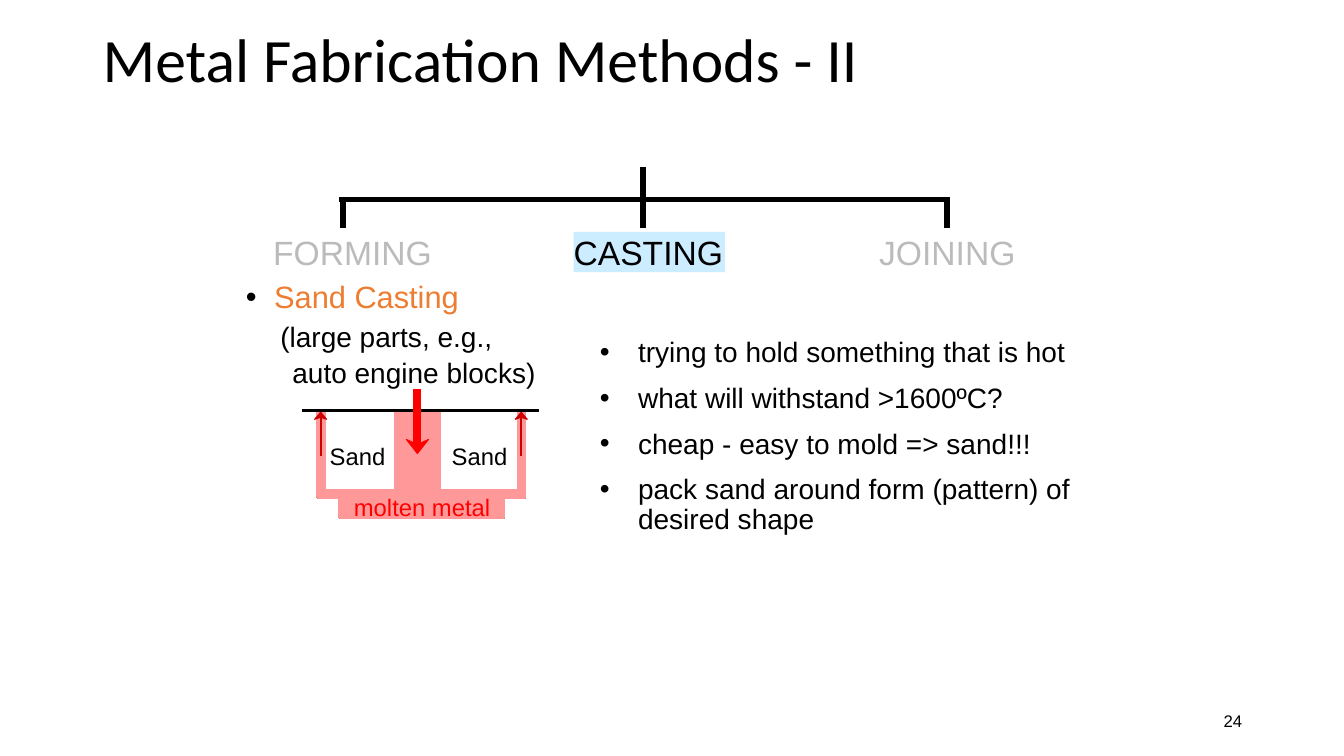
from lxml import etree
from pptx import Presentation
from pptx.dml.color import RGBColor
from pptx.enum.shapes import MSO_CONNECTOR, MSO_SHAPE
from pptx.enum.text import MSO_ANCHOR, MSO_AUTO_SIZE, PP_ALIGN
from pptx.oxml.ns import qn
from pptx.util import Inches, Pt

COLORS = {
    "black": "000000", "white": "FFFFFF", "grey": "BBBBBB", "orange": "ED7D31",
    "sky": "CCECFF", "melt": "FF9999", "red": "FF0000", "crimson": "CC0000",
}


def rgb(name):
    return RGBColor.from_string(COLORS[name])


class SlideBuilder:
    def __init__(self, slide, font="Arial"):
        self.slide = slide
        self.font = font
        self.layer = slide.shapes

    def start_group(self):
        self.layer = self.slide.shapes.add_group_shape().shapes

    def end_group(self):
        self.layer = self.slide.shapes

    def frame(self, box, fill=None, inset=True, anchor=MSO_ANCHOR.TOP):
        place = [Inches(value) for value in box]
        if fill:
            holder = self.layer.add_shape(MSO_SHAPE.RECTANGLE, *place)
            self.paint(holder, fill)
        else:
            holder = self.layer.add_textbox(*place)
        body = holder.text_frame
        body.word_wrap = True
        body.vertical_anchor = anchor
        if not inset:
            body.margin_left = body.margin_right = 0
            body.margin_top = body.margin_bottom = 0
        return body

    def paragraph(self, body, text, size, color="black", font=None, align=PP_ALIGN.LEFT,
                  margin=0, bullet=False, before=0, spacing=None):
        first = not body.paragraphs[0].runs
        line = body.paragraphs[0] if first else body.add_paragraph()
        line.alignment = align
        if spacing:
            line.line_spacing = spacing
        if before and not first:
            line.space_before = Pt(before)
        props = line._p.get_or_add_pPr()
        if margin:
            props.set("marL", str(Inches(margin)))
            props.set("indent", str(-Inches(margin) if bullet else 0))
        if bullet:
            bullet_color = etree.SubElement(props, qn("a:buClr"))
            etree.SubElement(bullet_color, qn("a:srgbClr"), val=COLORS["black"])
            etree.SubElement(props, qn("a:buFont"), typeface=self.font)
            etree.SubElement(props, qn("a:buChar"), char="•")
        run = line.add_run()
        run.text = text
        run.font.size = Pt(size)
        run.font.name = font or self.font
        run.font.color.rgb = rgb(color)

    def label(self, box, text, size, color="black", fill=None):
        body = self.frame(box, fill, inset=False)
        body.word_wrap = False
        body.auto_size = MSO_AUTO_SIZE.SHAPE_TO_FIT_TEXT
        self.paragraph(body, text, size, color)

    def paint(self, shape, fill=None, line=None, width=0.75):
        shape.shadow.inherit = False
        if fill:
            shape.fill.solid()
            shape.fill.fore_color.rgb = rgb(fill)
        else:
            shape.fill.background()
        if line:
            shape.line.color.rgb = rgb(line)
            shape.line.width = Pt(width)
        else:
            shape.line.fill.background()

    def outline(self, points, closed=False, shift=0, **style):
        corners = [(Inches(x + shift), Inches(y + shift)) for x, y in points]
        builder = self.layer.build_freeform(*corners[0], scale=1.0)
        builder.add_line_segments(corners[1:], close=closed)
        self.paint(builder.convert_to_shape(), **style)

    def line(self, start, end, color, width):
        ends = [Inches(value) for value in (*start, *end)]
        rule = self.layer.add_connector(MSO_CONNECTOR.STRAIGHT, *ends)
        rule.line.color.rgb = rgb(color)
        rule.line.width = Pt(width)
        etree.SubElement(rule._element.spPr, qn("a:effectLst"))

    def arrow(self, x, tail, notch, tip, wing, half, color, width):
        head = [(x, tip), (x + half, wing), (x, notch), (x - half, wing)]
        self.outline(head, closed=True, fill=color, line=color)
        self.line((x, tail), (x, notch), color, width)


def add_text(page):
    number = page.frame((9.42, 6.95, 3, 0.4), anchor=MSO_ANCHOR.MIDDLE)
    page.paragraph(number, "24", 12, align=PP_ALIGN.RIGHT)

    sand_casting = page.frame((2.44, 2.76, 3, 1.08), inset=False)
    page.paragraph(sand_casting, "Sand Casting", 22, "orange", margin=0.28, bullet=True)
    page.paragraph(sand_casting, "(large parts, e.g.,", 20, margin=0.34, before=3)
    page.paragraph(sand_casting, "auto engine blocks)", 20, margin=0.46, before=2)

    title = page.frame((0.92, -0.1, 11.5, 1.45), anchor=MSO_ANCHOR.MIDDLE)
    page.paragraph(title, "Metal Fabrication Methods - II", 44, font="Calibri", spacing=0.9)

    reasons = page.frame((5.85, 3.31, 5.39, 2.73))
    for reason in (
        "trying to hold something that is hot",
        "what will withstand >1600ºC?",
        "cheap - easy to mold => sand!!!",
        "pack sand around form (pattern) of desired shape",
    ):
        page.paragraph(reasons, reason, 20, margin=0.38, bullet=True, before=11, spacing=0.9)


def add_mold(page):
    top, floor, step, base = 4.07, 4.86, 4.93, 5.13
    left, right = 3.36, 4.99
    vent_left, vent_right = (3.14, 3.21), (5.2, 5.14)
    sprue_left, sprue_right = 3.92, 4.35

    cavity = [(sprue_left, top), (sprue_left, floor), (left, floor), (left, base),
              (right, base), (right, floor), (sprue_right, floor), (sprue_right, top)]
    walls = [cavity]
    for side, (outer, inner) in ((left, vent_left), (right, vent_right)):
        walls.append([(side, floor), (inner, floor), (inner, top)])
        walls.append([(side, step), (outer, step), (outer, top)])
    melt = [(vent_left[0], top), (vent_left[0], step), (left, step), (left, base),
            (right, base), (right, step), (vent_right[0], step), (vent_right[0], top),
            (vent_right[1], top), (vent_right[1], floor), (sprue_right, floor),
            (sprue_right, top), (sprue_left, top), (sprue_left, floor),
            (vent_left[1], floor), (vent_left[1], top)]

    page.start_group()
    for wall in walls:
        for shift in (0, 0.01):
            page.outline(wall, shift=shift, line="black", width=1.38)
    for side in (left, right):
        page.line((side, step), (side, floor), "white", 1.38)
    page.outline(melt, closed=True, fill="melt")
    for shift in (0, 0.01):
        page.outline(melt, closed=True, shift=shift, line="melt", width=1.38)
    for x in (3.27, 4.48):
        page.label((x, 4.38, 0.56, 0.29), "Sand", 17)
    page.label((3.51, 4.89, 1.37, 0.29), "molten metal", 17, "red")
    for x in (3.18, 5.17):
        page.arrow(x, 4.52, 4.14, 4.09, 4.16, 0.06, "crimson", 1.38)
    page.line((3, top), (5.35, top), "black", 2.25)
    page.arrow(4.14, 3.86, 4.41, 4.5, 4.36, 0.11, "red", 5.75)
    page.end_group()


def add_method_tree(page):
    for x, width, method, color, fill in (
        (2.71, 1.59, "FORMING", "grey", None),
        (5.69, 1.5, "CASTING", "black", "sky"),
        (8.72, 1.36, "JOINING", "grey", None),
    ):
        page.label((x, 2.3, width, 0.4), method, 24, color, fill)
    page.start_group()
    page.line((3.36, 1.98), (9.42, 1.98), "black", 4)
    for x, start in ((3.4, 1.96), (6.38, 1.66), (9.39, 1.98)):
        page.line((x, 2.26), (x, start), "black", 4)
    page.end_group()


def main():
    deck = Presentation()
    deck.slide_width, deck.slide_height = Inches(13.33), Inches(7.5)
    page = SlideBuilder(deck.slides.add_slide(deck.slide_layouts[6]))
    add_text(page)
    add_mold(page)
    add_method_tree(page)
    deck.save("out.pptx")


if __name__ == "__main__":
    main()
